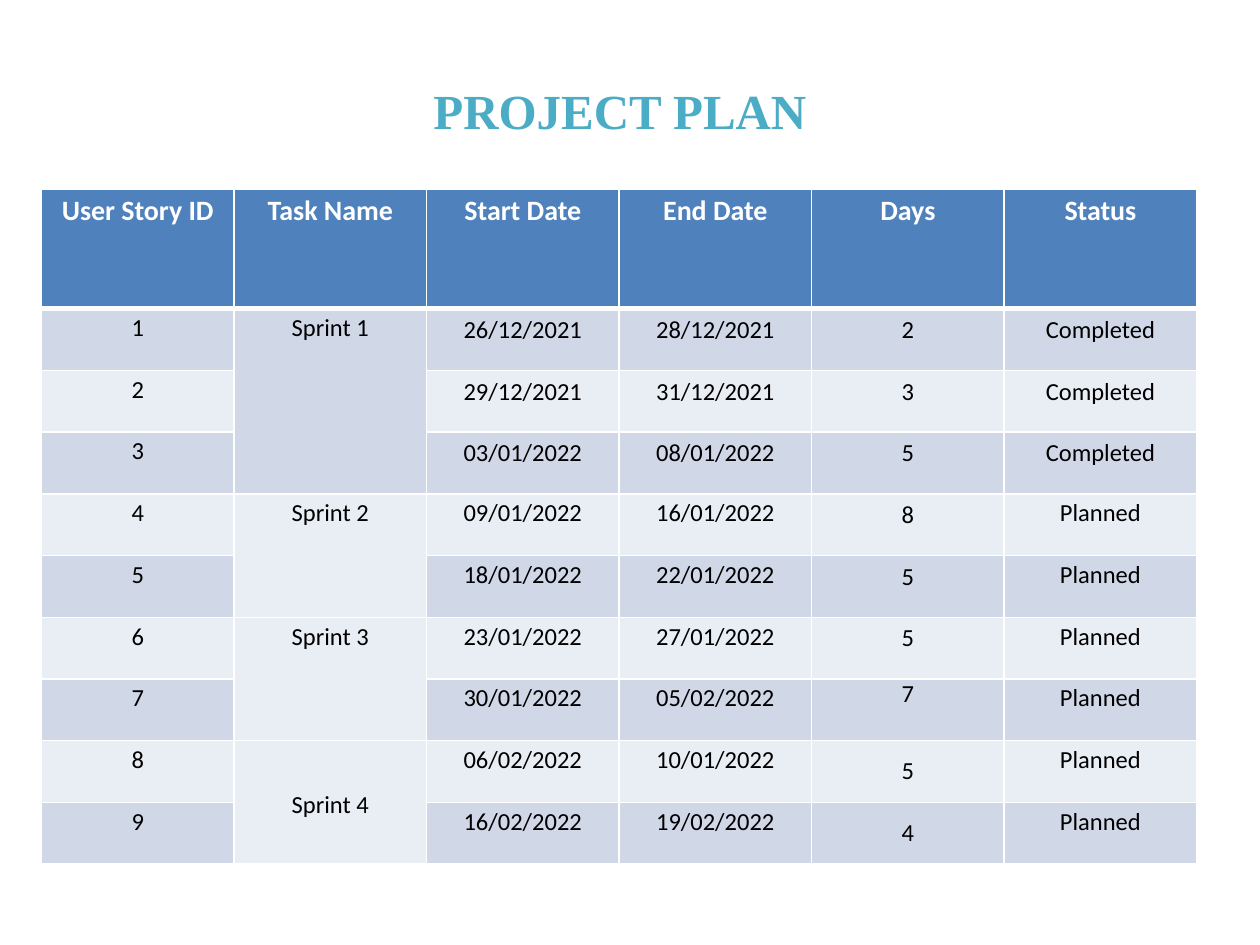
from lxml import etree
from pptx import Presentation
from pptx.dml.color import RGBColor
from pptx.enum import text
from pptx.oxml import ns
from pptx.util import Inches, Pt

HEADINGS = ["User Story ID", "Task Name", "Start Date", "End Date", "Days", "Status"]
# Start date, end date, days, status of each user story
STORIES = [
    ("26/12/2021", "28/12/2021", "2", "Completed"),
    ("29/12/2021", "31/12/2021", "3", "Completed"),
    ("03/01/2022", "08/01/2022", "5", "Completed"),
    ("09/01/2022", "16/01/2022", "8", "Planned"),
    ("18/01/2022", "22/01/2022", "5", "Planned"),
    ("23/01/2022", "27/01/2022", "5", "Planned"),
    ("30/01/2022", "05/02/2022", "7", "Planned"),
    ("06/02/2022", "10/01/2022", "5", "Planned"),
    ("16/02/2022", "19/02/2022", "4", "Planned"),
]
STORIES_PER_SPRINT = [3, 2, 2, 2]
TASK, DAYS = 1, 4
BANDS = ("D0D8E8", "E9EDF4")
TIGHT, ROOMY, STANDARD = (0.07, 0), (0.11, 0.05), (0.1, 0.05)


def rgb(value):
    return RGBColor.from_string(value)


def add_run(paragraph, words, size, font, color, bold=False):
    run = paragraph.add_run()
    run.text = words
    run.font.size = Pt(size)
    run.font.name = font
    run.font.bold = bold
    run.font.color.rgb = rgb(color)


def set_borders(cell, bottom=1):
    props = cell._tc.get_or_add_tcPr()
    for side, width in (("L", 1), ("R", 1), ("T", 1), ("B", bottom)):
        line = etree.SubElement(props, ns.qn(f"a:ln{side}"), w=str(Pt(width)))
        fill = etree.SubElement(line, ns.qn("a:solidFill"))
        etree.SubElement(fill, ns.qn("a:srgbClr"), val="FFFFFF")


def paint_cell(cell, fill, bottom=1):
    set_borders(cell, bottom)
    cell.fill.solid()
    cell.fill.fore_color.rgb = rgb(fill)


def write_cell(cell, words, size=14, color="000000", bold=False,
               insets=TIGHT, spacing=1.15, middle=False):
    cell.margin_left = cell.margin_right = Inches(insets[0])
    cell.margin_top = cell.margin_bottom = Inches(insets[1])
    if middle:
        cell.vertical_anchor = text.MSO_ANCHOR.MIDDLE
    paragraph = cell.text_frame.paragraphs[0]
    paragraph.alignment = text.PP_ALIGN.CENTER
    if spacing:
        paragraph.line_spacing = spacing
    add_run(paragraph, words, size, "Calibri", color, bold)


def story_style(story, column):
    """Cell layout for the date, days and status columns."""
    if story <= 3:
        return {"insets": ROOMY, "spacing": None}
    if column == DAYS:
        return {"insets": STANDARD if story <= 6 else TIGHT,
                "spacing": None, "middle": story >= 8}
    return {}


def add_title(slide):
    title = slide.shapes.title
    title.left, title.top = Inches(0.42), Inches(0.25)
    title.width, title.height = Inches(9), Inches(1.25)
    title.text_frame.vertical_anchor = text.MSO_ANCHOR.MIDDLE
    paragraph = title.text_frame.paragraphs[0]
    paragraph.alignment = text.PP_ALIGN.CENTER
    add_run(paragraph, "PROJECT PLAN", 28, "Times New Roman", "4BACC6", True)


def add_plan(slide):
    plan = slide.shapes.add_table(
        len(STORIES) + 1, len(HEADINGS),
        Inches(0.33), Inches(1.5), Inches(9.17), Inches(5.33)).table
    for row in plan.rows:
        row.height = Inches(0.49)
    plan.rows[0].height = Inches(0.95)

    # Heading row
    for column, heading in enumerate(HEADINGS):
        cell = plan.cell(0, column)
        paint_cell(cell, "4F81BD", bottom=3)
        write_cell(cell, heading, 16, "FFFFFF", True)

    # User stories, in banded rows
    for story, details in enumerate(STORIES, 1):
        for column in range(len(HEADINGS)):
            paint_cell(plan.cell(story, column), BANDS[(story - 1) % 2])
        write_cell(plan.cell(story, 0), str(story))
        for column, words in enumerate(details, TASK + 1):
            write_cell(plan.cell(story, column), words, **story_style(story, column))

    # Sprints, each spanning its stories
    first = 1
    for sprint, count in enumerate(STORIES_PER_SPRINT, 1):
        task = plan.cell(first, TASK)
        task.merge(plan.cell(first + count - 1, TASK))
        write_cell(task, f"Sprint {sprint}",
                   middle=sprint == len(STORIES_PER_SPRINT))
        first += count


def main():
    deck = Presentation()
    deck.slide_width, deck.slide_height = Inches(10), Inches(7.5)
    slide = deck.slides.add_slide(deck.slide_layouts[5])
    add_title(slide)
    add_plan(slide)
    deck.save("out.pptx")


if __name__ == "__main__":
    main()
